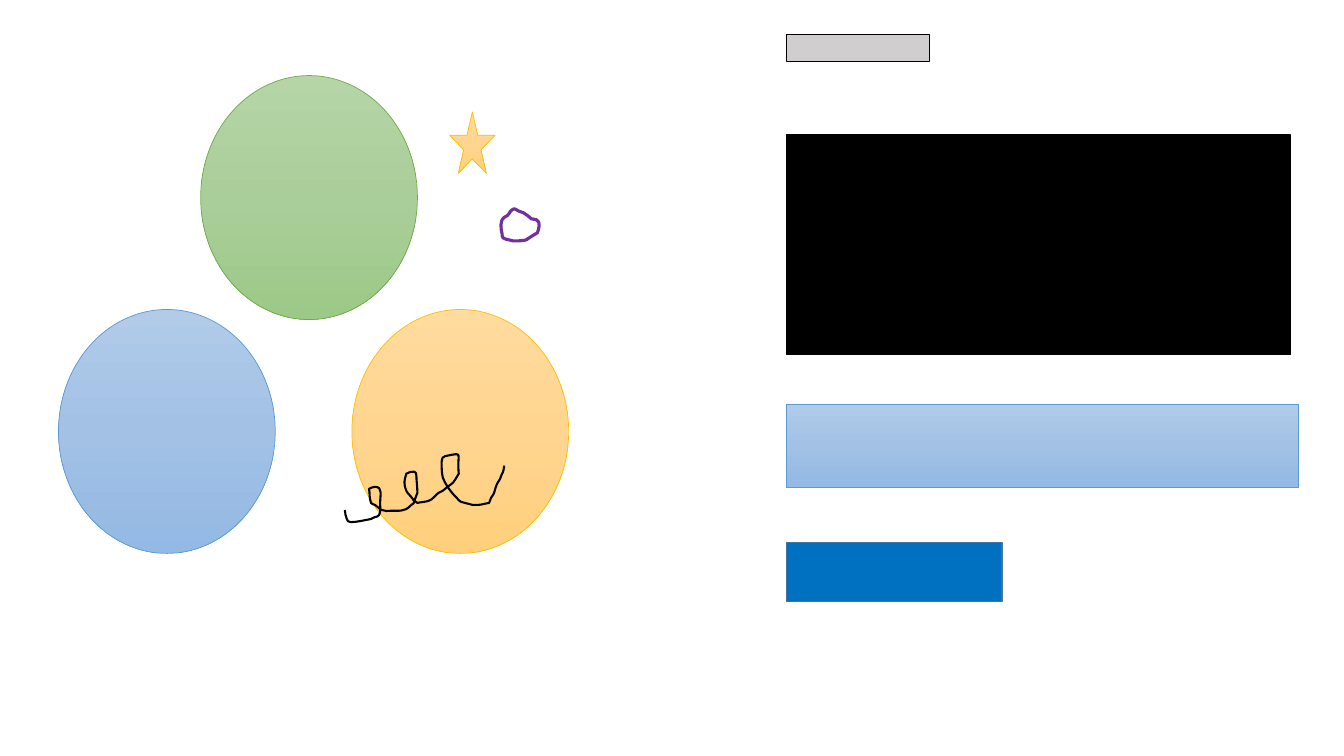
import copy
from dataclasses import dataclass
from typing import Optional

import lxml.etree
import pptx
import pptx.dml.color
import pptx.enum.shapes
import pptx.oxml.ns
import pptx.util

Inches = pptx.util.Inches
MSO = pptx.enum.shapes.MSO_SHAPE
qn = pptx.oxml.ns.qn


@dataclass(frozen=True)
class Theme:
    green: tuple[str, ...] = ("B5D5A7", "AACE9A", "9CC987")
    blue: tuple[str, ...] = ("B1CBE9", "A3C1E5", "93B9E4")
    gold: tuple[str, ...] = ("FFDB9E", "FFD590", "FFD07C")
    green_line: str = "70AD47"
    blue_line: str = "5B9BD5"
    gold_line: str = "FFC000"
    black: str = "000000"
    white: str = "FFFFFF"
    gray: str = "D0CECE"
    strong_blue: str = "0070C0"
    strong_blue_line: str = "43739E"
    purple: str = "7030A0"
    thin: float = 0.5
    medium: float = 1
    pen: float = 1.5
    thick_pen: float = 2.25


@dataclass(frozen=True)
class Figure:
    kind: MSO
    left: float
    top: float
    width: float
    height: float
    colors: tuple[str, ...]  # one colour is solid, three are a gradient
    line: str
    weight: float


@dataclass(frozen=True)
class Stroke:
    start: tuple[float, float]
    curves: tuple[tuple[float, ...], ...]  # two control points and an end, or an end alone
    line: str
    weight: float
    fill: Optional[str] = None
    closed: bool = False


T = Theme()
CIRCLE_W, CIRCLE_H = 2.15, 2.42
CIRCLE_ROW = 3.07
BAR_LEFT = 7.8

# Circles and star
CIRCLES_AND_STAR = (
    Figure(MSO.OVAL, 1.99, 0.75, CIRCLE_W, CIRCLE_H, T.green, T.green_line, T.thin),
    Figure(MSO.OVAL, 0.58, CIRCLE_ROW, CIRCLE_W, CIRCLE_H, T.blue, T.blue_line, T.thin),
    Figure(MSO.OVAL, 3.49, CIRCLE_ROW, CIRCLE_W, CIRCLE_H, T.gold, T.gold_line, T.thin),
    Figure(MSO.STAR_5_POINT, 4.46, 1.11, 0.45, 0.61, T.gold, T.gold_line, T.thin),
)

# Bars on the right
BARS = (
    Figure(MSO.RECTANGLE, BAR_LEFT, 0.34, 1.42, 0.27, (T.gray,), T.black, T.thin),
    Figure(MSO.RECTANGLE, BAR_LEFT, 1.34, 5, 2.18, (T.black,), T.black, T.medium),
    Figure(MSO.RECTANGLE, BAR_LEFT, 4.01, 5.08, 0.83, T.blue, T.blue_line, T.thin),
    Figure(MSO.RECTANGLE, BAR_LEFT, 5.38, 2.14, 0.59, (T.strong_blue,),
           T.strong_blue_line, T.medium),
)

# Hand-drawn loops and ring
LOOPS = Stroke((3.42, 5.06), (
    (3.43, 5.09, 3.42, 5.12, 3.44, 5.15), (3.44, 5.17, 3.46, 5.18, 3.48, 5.18),
    (3.55, 5.18, 3.61, 5.16, 3.68, 5.15), (3.69, 5.15, 3.7, 5.13, 3.72, 5.13),
    (3.73, 5.12, 3.76, 5.13, 3.76, 5.11), (3.78, 5.07, 3.77, 5.03, 3.77, 4.99),
    (3.77, 4.92, 3.8, 4.83, 3.72, 4.83), (3.7, 4.83, 3.68, 4.84, 3.66, 4.85),
    (3.67, 4.89, 3.66, 4.94, 3.68, 4.99), (3.68, 5, 3.7, 5, 3.72, 5.01),
    (3.8, 5.07, 3.75, 5.05, 3.83, 5.07), (3.97, 5.06, 4, 5.09, 4.08, 5.01),
    (4.1, 5, 4.11, 4.99, 4.11, 4.97), (4.12, 4.94, 4.14, 4.89, 4.14, 4.89),
    (4.14, 4.83, 4.13, 4.77, 4.13, 4.72), (4.12, 4.7, 4.13, 4.68, 4.11, 4.68),
    (4.08, 4.67, 4.06, 4.69, 4.03, 4.7), (4.01, 4.77, 4, 4.79, 4.03, 4.87),
    (4.03, 4.89, 4.06, 4.9, 4.07, 4.92), (4.13, 4.99, 4.06, 4.93, 4.14, 4.99),
    (4.18, 4.98, 4.22, 4.98, 4.25, 4.97), (4.29, 4.96, 4.33, 4.9, 4.35, 4.89),
    (4.36, 4.88, 4.38, 4.88, 4.39, 4.87), (4.41, 4.86, 4.42, 4.84, 4.44, 4.83),
    (4.45, 4.82, 4.47, 4.81, 4.48, 4.8), (4.5, 4.79, 4.53, 4.73, 4.55, 4.7),
    (4.53, 4.49, 4.6, 4.49, 4.44, 4.52), (4.42, 4.52, 4.41, 4.53, 4.39, 4.54),
    (4.39, 4.55, 4.38, 4.56, 4.38, 4.58), (4.38, 4.63, 4.38, 4.68, 4.39, 4.73),
    (4.41, 4.8, 4.48, 4.89, 4.52, 4.93), (4.58, 4.99, 4.54, 4.97, 4.65, 5),
    (4.69, 5.01), (4.73, 5.01, 4.77, 5.01, 4.8, 5),
    (4.82, 5, 4.83, 5, 4.85, 4.99), (4.86, 4.98, 4.86, 4.96, 4.87, 4.94),
    (4.92, 4.87, 4.89, 4.9, 4.93, 4.8), (4.94, 4.78, 4.95, 4.77, 4.96, 4.75),
    (4.97, 4.72, 4.98, 4.7, 4.99, 4.68), (5, 4.63, 5, 4.65, 5, 4.62),
), T.black, T.pen)

RING = Stroke((4.98, 2.18), (
    (4.97, 2.21, 4.96, 2.24, 4.98, 2.32), (4.98, 2.34, 4.98, 2.35, 4.99, 2.36),
    (5.01, 2.38, 5.03, 2.37, 5.05, 2.38), (5.06, 2.38, 5.08, 2.39, 5.09, 2.39),
    (5.13, 2.39, 5.18, 2.39, 5.22, 2.38), (5.23, 2.37, 5.31, 2.32, 5.33, 2.31),
    (5.34, 2.28, 5.37, 2.2, 5.32, 2.18), (5.3, 2.18, 5.29, 2.17, 5.27, 2.17),
    (5.24, 2.15, 5.22, 2.12, 5.19, 2.11), (5.13, 2.09, 5.16, 2.1, 5.1, 2.07),
    (5.09, 2.08, 5.07, 2.08, 5.06, 2.1), (5.05, 2.11, 5.05, 2.13, 5.03, 2.14),
    (5.01, 2.16, 4.99, 2.15, 4.98, 2.18),
), T.purple, T.thick_pen, fill=T.white, closed=True)


def rgb(value: str) -> pptx.dml.color.RGBColor:
    return pptx.dml.color.RGBColor.from_string(value)


def style(sp, colors: tuple[str, ...], line: str, weight: float) -> None:
    """Fill with nothing, one colour or a top-down gradient, and set the outline."""
    sp.shadow.inherit = False
    sp.line.color.rgb = rgb(line)
    sp.line.width = pptx.util.Pt(weight)
    if not colors:
        sp.fill.background()
    elif len(colors) == 1:
        sp.fill.solid()
        sp.fill.fore_color.rgb = rgb(colors[0])
    else:
        sp.fill.gradient()
        sp.fill.gradient_angle = 270
        stops = next(sp.element.iter(qn("a:gsLst")))
        stops.insert(1, copy.deepcopy(stops[0]))  # the default has two stops
        for i, (stop, color) in enumerate(zip(sp.fill.gradient_stops, colors)):
            stop.position = i / (len(colors) - 1)
            stop.color.rgb = rgb(color)


def draw_figure(s, f: Figure) -> None:
    box = map(Inches, (f.left, f.top, f.width, f.height))
    style(s.shapes.add_shape(f.kind, *box), f.colors, f.line, f.weight)


def bend(sp, curves: tuple[tuple[float, ...], ...]) -> None:
    """Turn the straight segments of a freeform into Bézier curves."""
    for segment, curve in zip(list(sp.element.iter(qn("a:lnTo"))), curves):
        if len(curve) == 2:
            continue
        bezier = lxml.etree.Element(qn("a:cubicBezTo"))
        for x, y in zip(curve[::2], curve[1::2]):
            lxml.etree.SubElement(bezier, qn("a:pt"), x=str(Inches(x) - sp.left),
                                  y=str(Inches(y) - sp.top))
        segment.getparent().replace(segment, bezier)


def draw_stroke(s, stroke: Stroke) -> None:
    ends = [(Inches(c[-2]), Inches(c[-1])) for c in stroke.curves]
    builder = s.shapes.build_freeform(*map(Inches, stroke.start))
    builder.add_line_segments(ends, close=stroke.closed)
    sp = builder.convert_to_shape()
    bend(sp, stroke.curves)
    style(sp, (stroke.fill,) if stroke.fill else (), stroke.line, stroke.weight)


def main() -> None:
    prs = pptx.Presentation()
    prs.slide_width, prs.slide_height = Inches(13.33), Inches(7.5)
    s = prs.slides.add_slide(prs.slide_layouts.get_by_name("Blank"))
    for figure in CIRCLES_AND_STAR:
        draw_figure(s, figure)
    for stroke in (LOOPS, RING):
        draw_stroke(s, stroke)
    for bar in BARS:
        draw_figure(s, bar)
    prs.save("out.pptx")


if __name__ == "__main__":
    main()
